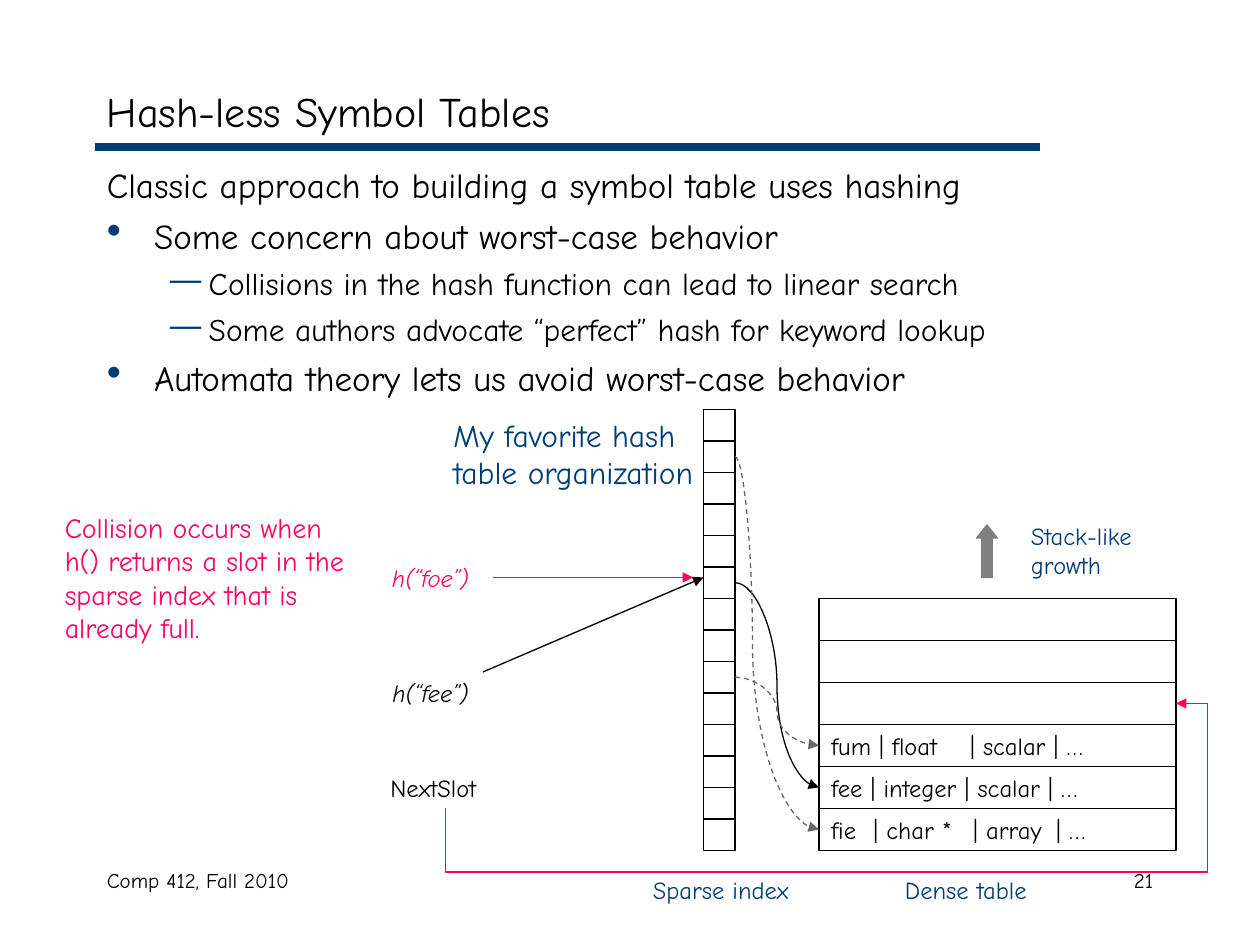
from dataclasses import dataclass

from lxml import etree
from pptx import Presentation
from pptx.dml.color import RGBColor
from pptx.enum.dml import MSO_LINE
from pptx.enum.shapes import MSO_CONNECTOR, MSO_SHAPE
from pptx.enum.text import MSO_ANCHOR, PP_ALIGN
from pptx.oxml.ns import qn
from pptx.util import Pt

RECT, UP = MSO_SHAPE.RECTANGLE, MSO_SHAPE.UP_ARROW
LINE, CURVE, ELBOW = MSO_CONNECTOR.STRAIGHT, MSO_CONNECTOR.CURVE, MSO_CONNECTOR.ELBOW
DASH = MSO_LINE.DASH
TOP, MID = MSO_ANCHOR.TOP, MSO_ANCHOR.MIDDLE
LEFT, MIDDLE, RIGHT = PP_ALIGN.LEFT, PP_ALIGN.CENTER, PP_ALIGN.RIGHT
SCALE = 7620


@dataclass(frozen=True)
class Theme:
    font: str = "Comic Neue"
    ink: str = "000000"
    blue: str = "003C75"
    pink: str = "FF0065"
    gray: str = "808080"
    dim: str = "666666"
    title: int = 24
    lead: int = 20
    sub: int = 18
    note: int = 16
    label: int = 14
    foot: int = 12
    thin: float = 0.75
    thick: float = 4.5


THEME = Theme()


def px(*vals):
    return [round(v * SCALE) for v in vals]


def rgb(hue):
    return RGBColor.from_string(hue)


def node(up, tag, **attrs):
    return etree.SubElement(up, qn(tag), attrs)


def style(para, size, hue, align=LEFT, italic=False):
    para.alignment = align
    for run in para.runs:
        font = run.font
        font.name, font.size, font.italic = THEME.font, Pt(size), italic
        font.color.rgb = rgb(hue)


def label(slide, box, text, size, hue, align=LEFT, italic=False, anchor=TOP):
    frame = slide.shapes.add_textbox(*px(*box)).text_frame
    frame.word_wrap, frame.vertical_anchor = True, anchor
    frame.text = text
    style(frame.paragraphs[0], size, hue, align, italic)


def block(slide, box, kind=RECT, hue=THEME.ink, fill=None):
    shape = slide.shapes.add_shape(kind, *px(*box))
    shape.shadow.inherit = False
    if fill:
        shape.fill.solid()
        shape.fill.fore_color.rgb = rgb(fill)
    else:
        shape.fill.background()
    shape.line.color.rgb, shape.line.width = rgb(hue), Pt(THEME.thin)
    return shape


def link(slide, ends, hue, kind=LINE, width=THEME.thin, tip=True, dash=None):
    wire = slide.shapes.add_connector(kind, *px(*ends))
    wire.line.color.rgb, wire.line.width = rgb(hue), Pt(width)
    if dash:
        wire.line.dash_style = dash
    if tip:
        node(wire.line._ln, "a:tailEnd", type="triangle")
    node(wire._element.spPr, "a:effectLst")
    return wire


def adjust(wire, *vals):
    geom = wire._element.spPr.find(qn("a:prstGeom"))
    guides = geom.find(qn("a:avLst"))
    if guides is None:
        guides = node(geom, "a:avLst")
    for num, val in enumerate(vals, 1):
        node(guides, "a:gd", name=f"adj{num}", fmla=f"val {val}")
    return geom


def head(slide, box):
    x, y, w, h = box
    link(slide, (x, y + h, x + 900, y + h), THEME.blue, width=THEME.thick, tip=False)
    label(slide, box, "Hash-less Symbol Tables", THEME.title, THEME.ink, anchor=MID)


def body(slide, box):
    kinds = {
        "lead": (0, 45, -45, THEME.lead, 5, None),
        "dot": (0, 45, -45, THEME.lead, 5, "•"),
        "dash": (1, 97, -37, THEME.sub, 4.5, "—"),
    }
    items = [
        ("lead", "Classic approach to building a symbol table uses hashing"),
        ("dot", "Some concern about worst-case behavior"),
        ("dash", "Collisions in the hash function can lead to linear search"),
        ("dash", "Some authors advocate “perfect” hash for keyword lookup"),
        ("dot", "Automata theory lets us avoid worst-case behavior"),
    ]
    frame = slide.shapes.add_textbox(*px(*box)).text_frame
    frame.word_wrap = True
    for num, (kind, text) in enumerate(items):
        level, margin, indent, size, gap, mark = kinds[kind]
        para = frame.paragraphs[0] if num == 0 else frame.add_paragraph()
        para.text, para.level = text, level
        props = para._p.get_or_add_pPr()
        props.set("marL", str(margin * SCALE))
        props.set("indent", str(indent * SCALE))
        if mark:
            node(node(props, "a:buClr"), "a:srgbClr", val=THEME.blue)
            if kind == "dot":
                node(props, "a:buSzPct", val="120000")
            node(props, "a:buChar", char=mark)
        if num:
            para.space_before = Pt(gap)
        style(para, size, THEME.ink)


def calls(slide, box):
    x, y, w, h = box
    label(slide, (x, y, 300, 140),
          "Collision occurs when h() returns a slot in the sparse index that is already full.",
          THEME.note, THEME.pink)
    for top, text, hue in [(50, "h(“foe”)", THEME.pink), (160, "h(“fee”)", THEME.ink)]:
        label(slide, (x + 290, y + top, 140, 40), text, THEME.label, hue, MIDDLE, True)
    link(slide, (x + 420, y + 70, x + w - 10, y + 70), THEME.pink)
    link(slide, (x + 410, y + 160, x + w, y + 70), THEME.ink)
    label(slide, (x + 310, y + 250, 130, 40), "NextSlot", THEME.label, THEME.ink)


def index(slide, box):
    x, y, w, h = box
    count = 14
    side = h / count
    label(slide, (x - 250, y, 260, 120), "My favorite hash table organization",
          THEME.sub, THEME.blue)
    label(slide, (x - 60, y + h + 17, 170, 40), "Sparse index", THEME.label, THEME.blue)
    return [block(slide, (x, y + num * side, w, side)) for num in range(count)]


def dense(slide, box):
    x, y, w, h = box
    rows = [
        ("", ()),
        ("", ()),
        ("", ()),
        ("fum | float\t| scalar | …", (132,)),
        ("fee | integer | scalar | …", ()),
        ("fie\t| char *\t| array\t| …", (40, 135, 214)),
    ]
    step = h / len(rows)
    shapes = []
    for num, (text, stops) in enumerate(rows):
        shape = block(slide, (x, y + num * step, w, step))
        shapes.append(shape)
        if not text:
            continue
        frame = shape.text_frame
        frame.word_wrap, frame.vertical_anchor = True, MID
        frame.text = text
        para = frame.paragraphs[0]
        if stops:
            tabs = node(para._p.get_or_add_pPr(), "a:tabLst")
            for stop in stops:
                node(tabs, "a:tab", pos=str(stop * SCALE), algn="l")
        style(para, THEME.label, THEME.ink)
    arrow = block(slide, (x + 150, y - 70, 20, 50), UP, THEME.gray, THEME.gray)
    arrow.adjustments[0], arrow.adjustments[1] = 0.5, 0.625
    label(slide, (x + 190, y - 80, 150, 68), "Stack-like growth", THEME.label, THEME.blue)
    label(slide, (x + 70, y + h + 17, 170, 40), "Dense table", THEME.label, THEME.blue)
    return shapes


def wires(slide, cells, rows):
    for cell, row, hue, dash, bend in [
        (5, 4, THEME.ink, None, 50000),
        (8, 3, THEME.dim, DASH, 50000),
        (1, 5, THEME.dim, DASH, 20800),
    ]:
        wire = link(slide, (0, 0, 0, 0), hue, CURVE, dash=dash)
        wire.begin_connect(cells[cell], 3)
        wire.end_connect(rows[row], 1)
        adjust(wire, bend)


def pointer(slide, box):
    x, y, w, h = box
    mid, level = x + w / 2, y + h / 2
    ends = (mid + h / 2, level + w / 2, mid - h / 2, level - w / 2)
    wire = link(slide, ends, THEME.pink, ELBOW)
    adjust(wire, -60600, 104300).set("prst", "bentConnector4")
    wire._element.spPr.find(qn("a:xfrm")).set("rot", "5400000")


def foot(slide, box):
    x, y, w, h = box
    label(slide, (x, y, 380, h), "Comp 412, Fall 2010", THEME.foot, THEME.ink)
    label(slide, (x + w - 250, y, 250, h), "21", THEME.foot, THEME.ink, RIGHT)


def main():
    deck = Presentation()
    deck.slide_width, deck.slide_height = px(1200, 900)
    slide = deck.slides.add_slide(deck.slide_layouts[6])
    head(slide, (90, 70, 1020, 70))
    foot(slide, (90, 820, 1020, 60))
    body(slide, (90, 150, 1020, 650))
    cells = index(slide, (670, 390, 30, 420))
    rows = dense(slide, (780, 570, 340, 240))
    calls(slide, (50, 480, 620, 290))
    wires(slide, cells, rows)
    pointer(slide, (424, 670, 696, 100))
    deck.save("out.pptx")


if __name__ == "__main__":
    main()
